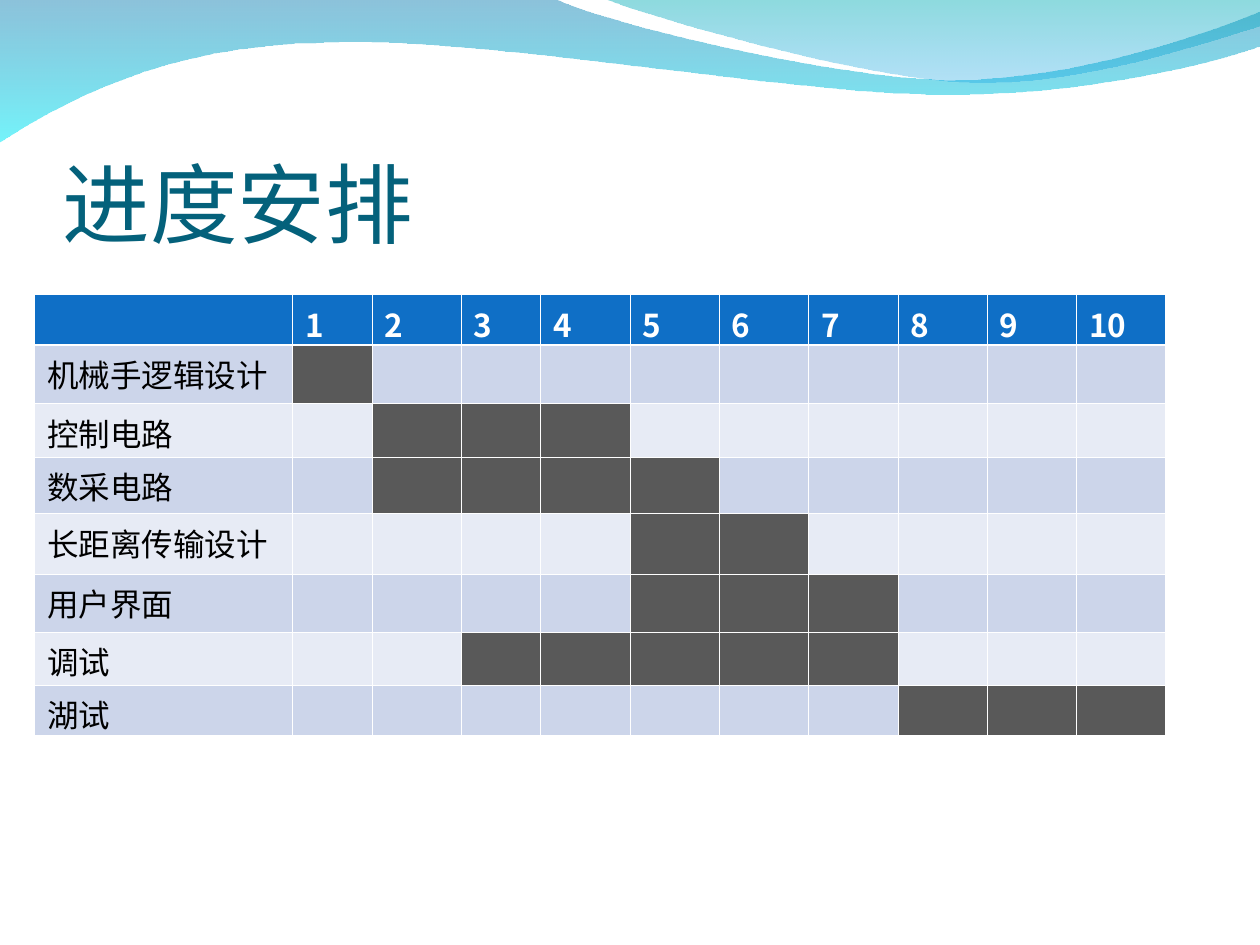
from lxml.etree import SubElement
from pptx import Presentation
from pptx.dml.color import RGBColor
from pptx.enum.lang import MSO_LANGUAGE_ID
from pptx.enum.text import MSO_ANCHOR
from pptx.oxml.ns import qn
from pptx.util import Cm, Pt

TITLE = "进度安排"
WEEKS = 10
TASKS = [  # name, first week, last week
    ("机械手逻辑设计", 1, 1),
    ("控制电路", 2, 4),
    ("数采电路", 2, 5),
    ("长距离传输设计", 5, 6),
    ("用户界面", 5, 7),
    ("调试", 3, 7),
    ("湖试", 8, 10),
]
NAME_WIDTH, WEEK_WIDTH, NARROW_WIDTH = 5.2, 1.8, 1.6
NARROW_WEEKS = (1, 3)
ROW_HEIGHTS = [1.02, 1.19, 1.07, 1.14, 1.22, 1.17, 1.07, 1.02]
HEADER, BUSY, BANDS = "0F6FC6", "595959", ("CCD5EA", "E7EBF5")
THIN, THICK = 0.45, 1.47

# Each step is an end point (line) or two control points and an end point (curve), in cm.
# Each gradient stop is a colour and its opacity in percent.
WAVES = [
    {
        "start": (0, -0.03),
        "steps": [
            [(11.18, -0.03)],
            [(12.09, 0.43), (16.87, 1.6), (19.25, 1.6)],
            [(21.67, 1.6), (24.33, 0.66), (25.4, 0.23)],
            [(25.43, 0.91)],
            [(24.97, 1.12), (22.1, 1.93), (18.95, 1.9)],
            [(15.8, 1.9), (9.7, 0.71), (6.53, 0.86)],
            [(3.28, 0.89), (1.17, 2.11), (-0.03, 2.87)],
            [(0, -0.03)],
        ],
        "stops": [("0079AF", 45), ("00EBF8", 55)],
    },
    {
        "start": (12.17, -0.03),
        "steps": [
            [(12.93, 0.28), (17.32, 1.57), (19.53, 1.65)],
            [(21.74, 1.75), (24.41, 0.81), (25.4, 0.53)],
            [(25.4, 0)],
            [(12.17, -0.03)],
        ],
        "stops": [("00ADB6", 45), ("009BE5", 30)],
    },
]


def color(value):
    return RGBColor.from_string(value)


def bend_lines(shape, steps):
    """Merge the three line segments of each curved step into one Bezier segment."""
    segments = iter(list(shape.element.iter(qn("a:lnTo"))))
    for step in steps:
        first, *others = [next(segments) for _ in step]
        if others:
            first.tag = qn("a:cubicBezTo")
            for segment in others:
                first.append(segment[0])
                segment.getparent().remove(segment)


def add_wave(page, wave):
    left, top = wave["start"]
    builder = page.shapes.build_freeform(Cm(left), Cm(top))
    builder.add_line_segments(
        [(Cm(x), Cm(y)) for step in wave["steps"] for x, y in step], close=True)
    shape = builder.convert_to_shape()
    bend_lines(shape, wave["steps"])
    shape.shadow.inherit = False
    shape.line.fill.background()
    shape.fill.gradient()
    shape.fill.gradient_angle = 270
    for stop, (value, opacity) in zip(shape.fill.gradient_stops, wave["stops"]):
        stop.color.rgb = color(value)
    stop_colors = list(shape.element.spPr.iter(qn("a:srgbClr")))
    for node, (value, opacity) in zip(stop_colors, wave["stops"]):
        SubElement(node, qn("a:alpha"), val=str(opacity * 1000))


def write(frame, text, size, font, value, bold=False):
    para = frame.paragraphs[0]
    para.text = text
    for span in para.runs:
        span.font.size = Pt(size)
        span.font.name = font
        span.font.bold = bold
        span.font.color.rgb = color(value)
        span.font.language_id = MSO_LANGUAGE_ID.SIMPLIFIED_CHINESE


def add_title(page):
    box = page.shapes.add_textbox(Cm(1.27), Cm(1.96), Cm(22.86), Cm(3.18))
    frame = box.text_frame
    frame.word_wrap = True
    frame.vertical_anchor = MSO_ANCHOR.BOTTOM
    frame.margin_left = frame.margin_right = frame.margin_bottom = 0
    frame.margin_top = Cm(0.13)
    write(frame, TITLE, 50, "Times New Roman", "04617B")


def paint_cell(cell, value, top, bottom):
    """Fill the cell and draw its white borders, which must precede the fill in XML."""
    properties = cell._tc.get_or_add_tcPr()
    for side, width in (("L", THIN), ("R", THIN), ("T", top), ("B", bottom)):
        line = SubElement(properties, qn(f"a:ln{side}"), w=str(Pt(width)))
        SubElement(SubElement(line, qn("a:solidFill")), qn("a:srgbClr"), val="FFFFFF")
    cell.fill.solid()
    cell.fill.fore_color.rgb = color(value)


def add_schedule(page):
    widths = [NAME_WIDTH] + [NARROW_WIDTH if week in NARROW_WEEKS else WEEK_WIDTH
                             for week in range(1, WEEKS + 1)]
    table = page.shapes.add_table(
        len(TASKS) + 1, WEEKS + 1, Cm(0.7), Cm(5.93),
        Cm(sum(widths)), Cm(sum(ROW_HEIGHTS))).table
    for column, width in zip(table.columns, widths):
        column.width = Cm(width)
    for row, height in zip(table.rows, ROW_HEIGHTS):
        row.height = Cm(height)

    for week in range(WEEKS + 1):
        cell = table.cell(0, week)
        paint_cell(cell, HEADER, THIN, THICK)
        if week:
            write(cell.text_frame, str(week), 18, "Noto Sans CJK SC", "FFFFFF", bold=True)

    for row, (name, first, last) in enumerate(TASKS, start=1):
        band = BANDS[(row - 1) % 2]
        for week in range(WEEKS + 1):
            value = BUSY if first <= week <= last else band
            paint_cell(table.cell(row, week), value, THICK if row == 1 else THIN, THIN)
        write(table.cell(row, 0).text_frame, name, 18, "Cambria", "000000")


def main():
    deck = Presentation()
    deck.slide_width, deck.slide_height = Cm(25.4), Cm(19.05)
    page = deck.slides.add_slide(deck.slide_layouts[6])
    for wave in WAVES:
        add_wave(page, wave)
    add_title(page)
    add_schedule(page)
    deck.save("out.pptx")


if __name__ == "__main__":
    main()
